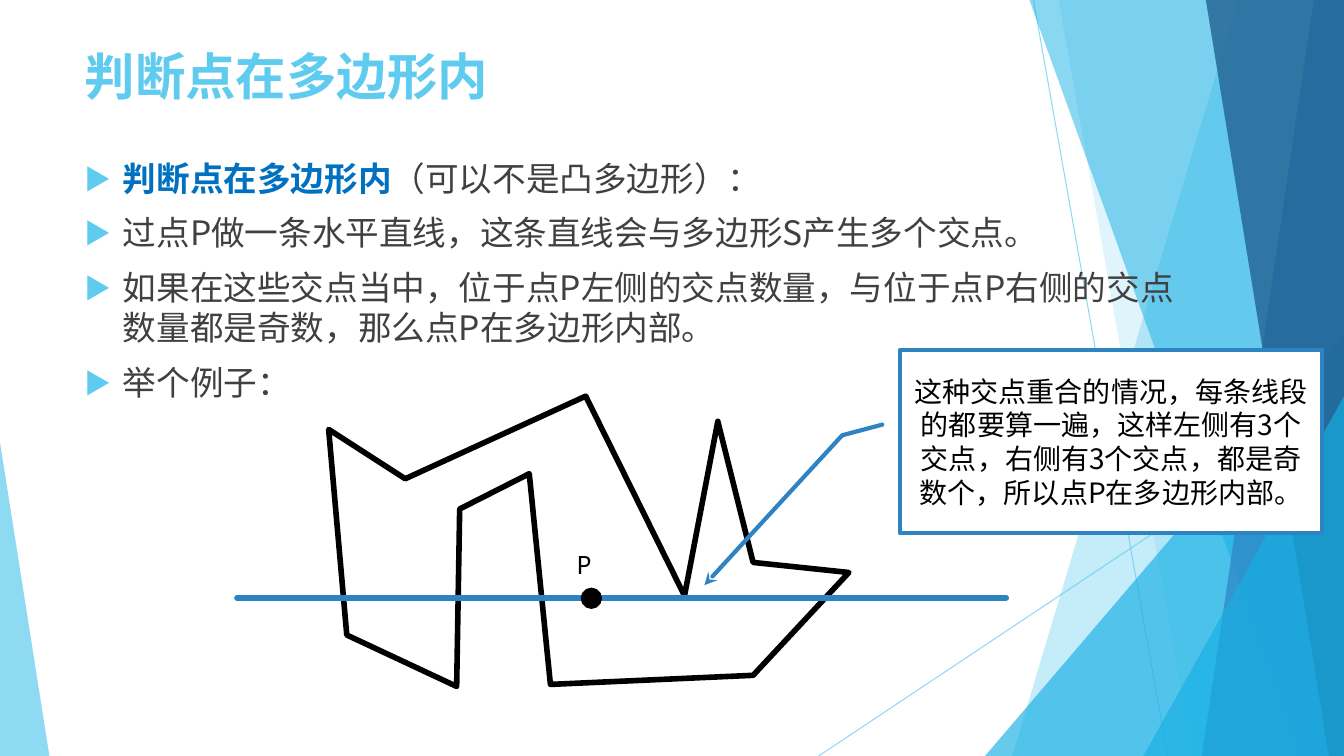
from pptx import Presentation
from pptx.dml.color import RGBColor
from pptx.enum.shapes import MSO_CONNECTOR, MSO_SHAPE
from pptx.enum.text import MSO_ANCHOR, PP_ALIGN
from pptx.oxml.ns import qn
from pptx.util import Inches, Pt
from lxml.etree import SubElement

SKY, AZURE, BLUE, NAVY = "5FCBEF", "17B0E4", "2E83C3", "226292"
BLACK, WHITE = "000000", "FFFFFF"
SANS = "Noto Sans CJK SC"
WIDE, HIGH = 13.33, 7.5


def paint(shape, fill=None, alpha=100, line=None, width=1):
    """Set fill and outline; alpha is the opacity in percent."""
    if fill:
        shape.shadow.inherit = False
        shape.fill.solid()
        shape.fill.fore_color.rgb = RGBColor.from_string(fill)
    else:
        SubElement(shape.element.spPr, qn("a:effectLst"))
    if line:
        shape.line.color.rgb = RGBColor.from_string(line)
        shape.line.width = Pt(width)
        shape.element.spPr.find(qn("a:ln")).set("cap", "rnd")
    else:
        shape.line.fill.background()
    if alpha < 100:
        for tint in shape.element.spPr.iter(qn("a:srgbClr")):
            SubElement(tint, qn("a:alpha"), val=str(alpha * 1000))


def style(run, size, color, bold=False, face=SANS):
    run.font.size, run.font.bold, run.font.name = Pt(size), bold, face
    run.font.color.rgb = RGBColor.from_string(color)
    SubElement(run.font._element, qn("a:ea"), typeface=SANS)


deck = Presentation()
deck.slide_width, deck.slide_height = Inches(WIDE), Inches(HIGH)
slide = deck.slides.add_slide(deck.slide_layouts[5])
shapes = slide.shapes

# Backdrop: two thin lines, then panels and triangles from back to front
for ends in [(10.25, 0, 11.58, HIGH), (WIDE, 4.03, 8.12, HIGH)]:
    ray = shapes.add_connector(MSO_CONNECTOR.STRAIGHT, *map(Inches, ends))
    paint(ray, alpha=70, line=SKY, width=0.75)

# A panel has the x of its left edge at top and bottom;
# a triangle has left, top, width and the place of its apex
backdrop = [
    ((12.28, 10.04), SKY, 36),
    ((10.5, 11.83), SKY, 20),
    ((9.77, 3.33, 3.56, 1), AZURE, 66),
    ((10.21, 12.91), AZURE, 50),
    ((13.03, 11.92), BLUE, 70),
    ((11.96, 13.18), NAVY, 80),
    ((11.34, 3.93, 1.99, 1), AZURE, 66),
    ((0, 4.39, 0.49, 0), SKY, 70),
]
for form, color, alpha in backdrop:
    if len(form) == 2:
        top, foot = form
        path = shapes.build_freeform(Inches(top), 0)
        path.add_line_segments([(Inches(x), Inches(y)) for x, y in
                                [(WIDE, 0), (WIDE, HIGH), (foot, HIGH)]])
        piece = path.convert_to_shape()
    else:
        left, top, width, apex = form
        piece = shapes.add_shape(MSO_SHAPE.ISOSCELES_TRIANGLE, Inches(left),
                                 Inches(top), Inches(width), Inches(HIGH - top))
        piece.adjustments[0] = apex
    paint(piece, color, alpha)

# Title
title = shapes.title
title.left, title.top = Inches(0.74), Inches(0.4)
title.width, title.height = Inches(9.4), Inches(1.17)
title.text_frame.text = "判断点在多边形内"
title.text_frame.vertical_anchor = MSO_ANCHOR.TOP
head = title.text_frame.paragraphs[0]
head.alignment = PP_ALIGN.LEFT
style(head.runs[0], 36, SKY, True, "Calibri")

# Bullets
body = shapes.add_textbox(Inches(0.74), Inches(1.51), Inches(11.23), Inches(5.74))
frame = body.text_frame
frame.word_wrap = True
points = [
    ("判断点在多边形内", "（可以不是凸多边形）："),
    ("", "过点P做一条水平直线，这条直线会与多边形S产生多个交点。"),
    ("", "如果在这些交点当中，位于点P左侧的交点数量，与位于点P右侧的交点数量都是奇数，那么点P在多边形内部。"),
    ("", "举个例子："),
]
for i, (term, text) in enumerate(points):
    para = frame.add_paragraph() if i else frame.paragraphs[0]
    para.space_before, para.line_spacing = Pt(10 if i else 0), Pt(29)
    props = para._p.get_or_add_pPr()
    props.set("marL", str(Inches(0.38)))
    props.set("indent", str(-Inches(0.38)))
    SubElement(SubElement(props, qn("a:buClr")), qn("a:srgbClr"), val=SKY)
    SubElement(props, qn("a:buSzPct"), val="80000")
    SubElement(props, qn("a:buFont"), typeface=SANS)
    SubElement(props, qn("a:buChar"), char="▶")
    if term:
        run = para.add_run()
        run.text = term
        style(run, 24, "0070C0", True)
    run = para.add_run()
    run.text = text
    style(run, 24, "404040")

# Polygon S, the horizontal line and point P
corners = [(3.26, 4.26), (3.44, 6.3), (4.53, 6.81), (4.56, 5.05), (5.25, 4.7),
           (5.46, 6.79), (7.47, 6.7), (8.42, 5.68), (7.47, 5.58), (7.12, 4.18),
           (6.79, 5.91), (5.81, 3.93), (4.02, 4.75)]
corners = [(Inches(x), Inches(y)) for x, y in corners]
path = shapes.build_freeform(*corners[0])
path.add_line_segments(corners[1:])
paint(path.convert_to_shape(), WHITE, line=BLACK, width=4)

level = Inches(5.93)
cut = shapes.add_connector(MSO_CONNECTOR.STRAIGHT, Inches(2.35), level,
                           Inches(9.98), level)
paint(cut, line=BLUE, width=4)

dot = shapes.add_shape(MSO_SHAPE.OVAL, Inches(5.77), Inches(5.84),
                       Inches(0.19), Inches(0.19))
paint(dot, BLACK, line=BLACK, width=1.5)

label = shapes.add_textbox(Inches(5.62), Inches(5.4), Inches(0.34), Inches(0.4))
label.text_frame.text = "P"
label.text_frame.word_wrap = False
style(label.text_frame.paragraphs[0].runs[0], 18, BLACK, face="Noto Sans Mono")

# Callout
note = shapes.add_shape(MSO_SHAPE.LINE_CALLOUT_2, Inches(8.93), Inches(3.47),
                        Inches(4.18), Inches(1.82))
for i, share in enumerate([0.408, -0.043, 0.466, -0.138, 1.283, -0.465]):
    note.adjustments[i] = share
paint(note, WHITE, line=BLUE, width=3)
SubElement(note.element.spPr.find(qn("a:ln")), qn("a:tailEnd"), type="stealth")
note.text_frame.text = "这种交点重合的情况，每条线段的都要算一遍，这样左侧有3个交点，右侧有3个交点，都是奇数个，所以点P在多边形内部。"
note.text_frame.word_wrap = True
note.text_frame.vertical_anchor = MSO_ANCHOR.MIDDLE
para = note.text_frame.paragraphs[0]
para.alignment, para.line_spacing = PP_ALIGN.CENTER, Pt(24)
style(para.runs[0], 20, BLACK)

deck.save("out.pptx")
